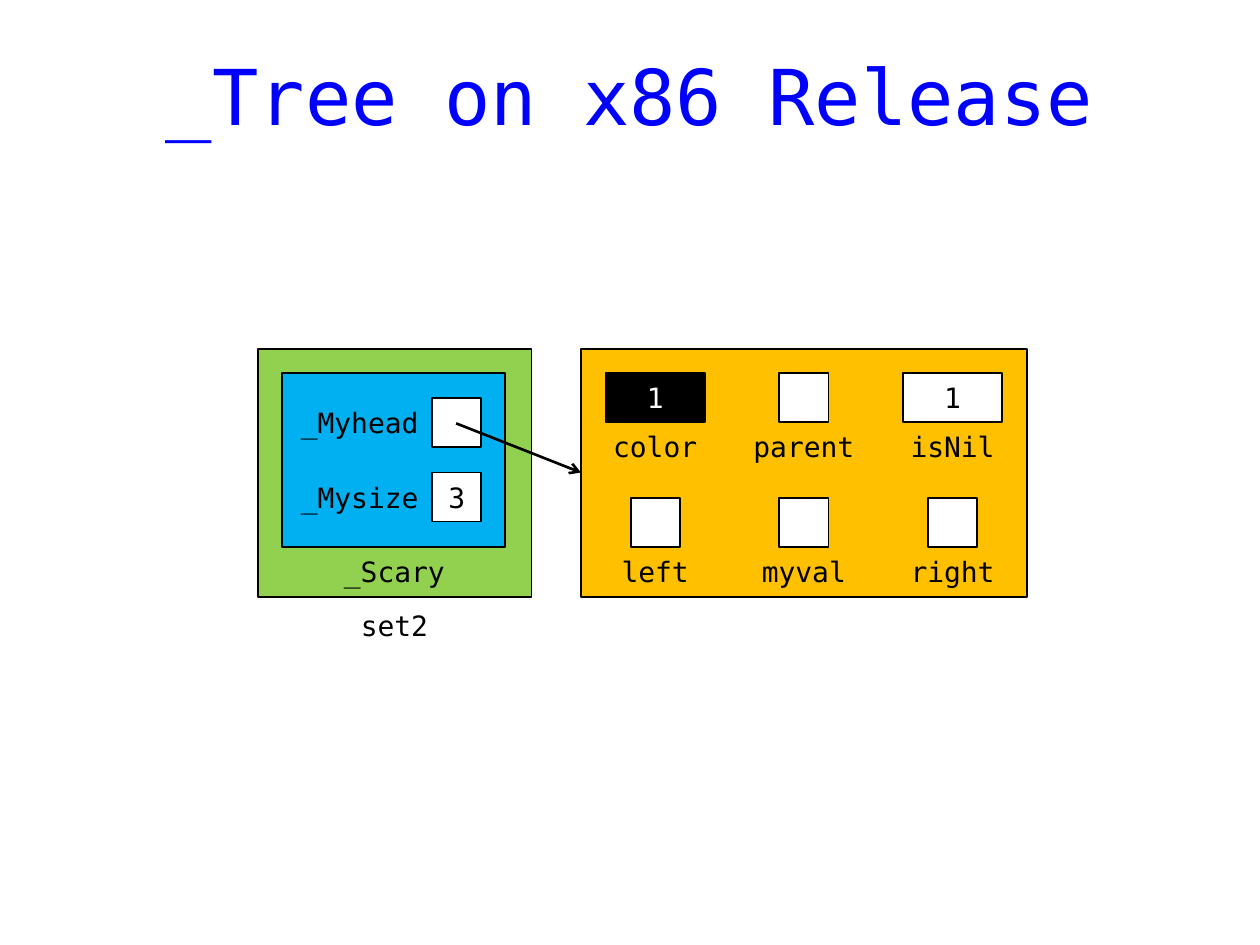
from dataclasses import dataclass

from lxml import etree
from pptx import Presentation
from pptx.dml.color import RGBColor
from pptx.enum.shapes import MSO_CONNECTOR, MSO_SHAPE
from pptx.enum.text import MSO_ANCHOR, PP_ALIGN
from pptx.oxml.ns import qn
from pptx.util import Inches, Pt

RECT = MSO_SHAPE.RECTANGLE
LINE = MSO_CONNECTOR.STRAIGHT
MIDDLE = MSO_ANCHOR.MIDDLE
CENTER, RIGHT = PP_ALIGN.CENTER, PP_ALIGN.RIGHT
FONT = "DejaVu Sans Mono"
COLORS = {"black": "000000", "white": "FFFFFF", "blue": "0000FF",
          "green": "92D050", "sky": "00B0F0", "gold": "FFC000"}
CELL, WIDE, COL = 0.39, 0.79, 1.18
NODE_X, ROW_TOP, ROW_STEP = 4.61, 2.96, 0.99


@dataclass
class Area:
    x: float
    y: float
    w: float
    h: float = CELL


@dataclass
class Field:
    name: str
    col: int
    row: int
    width: float = CELL
    value: str = ""
    fill: str = "white"
    ink: str = "black"


FIELDS = [
    Field("color", 0, 0, WIDE, "1", "black", "white"),
    Field("parent", 1, 0),
    Field("isNil", 2, 0, WIDE, "1"),
    Field("left", 0, 1),
    Field("myval", 1, 1),
    Field("right", 2, 1),
]
MEMBERS = [("_Myhead", 3.16, ""), ("_Mysize", 3.75, "3")]


def rgb(name: str) -> RGBColor:
    return RGBColor.from_string(COLORS[name])


def lengths(area: Area) -> list:
    return [Inches(n) for n in (area.x, area.y, area.w, area.h)]


def write(shape, text: str, ink: str = "black", size: int = 16,
          align=CENTER, insets: tuple = (0.1, 0, 0.1, 0)):
    """Fill a shape with one styled line; insets run left, top, right, bottom."""
    frame = shape.text_frame
    left, top, right, bottom = (Inches(n) for n in insets)
    style = {"word_wrap": True, "vertical_anchor": MIDDLE,
             "margin_left": left, "margin_top": top,
             "margin_right": right, "margin_bottom": bottom}
    for key, val in style.items():
        setattr(frame, key, val)
    para = frame.paragraphs[0]
    para.alignment = align
    run = para.add_run()
    run.text = text
    for key, val in {"name": FONT, "size": Pt(size)}.items():
        setattr(run.font, key, val)
    run.font.color.rgb = rgb(ink)
    return para


def label(slide, area: Area, text: str, **style):
    return write(slide.shapes.add_textbox(*lengths(area)), text, **style)


def box(slide, area: Area, fill: str = "white", text: str = "",
        ink: str = "black") -> None:
    shape = slide.shapes.add_shape(RECT, *lengths(area))
    shape.shadow.inherit = False
    shape.fill.solid()
    shape.fill.fore_color.rgb = rgb(fill)
    shape.line.color.rgb = rgb("black")
    shape.line.width = Pt(1)
    if text:
        write(shape, text, ink, insets=(0.04, 0.05, 0.04, 0.05))


def field(slide, item: Field) -> None:
    """Draw a node field: its value box with its name below."""
    x = NODE_X + item.col * COL
    y = ROW_TOP + item.row * ROW_STEP
    box(slide, Area(x + (COL - item.width) / 2, y, item.width),
        item.fill, item.value, item.ink)
    label(slide, Area(x, y + CELL, COL), item.name)


def arrow(slide, start: tuple, end: tuple) -> None:
    link = slide.shapes.add_connector(
        LINE, *(Inches(n) for n in start + end))
    link.line.color.rgb = rgb("black")
    link.line.width = Pt(1.5)
    etree.SubElement(link.line._get_or_add_ln(), qn("a:tailEnd"), type="arrow")
    etree.SubElement(link._element.spPr, qn("a:effectLst"))


def main() -> None:
    deck = Presentation()
    deck.slide_width, deck.slide_height = Inches(10), Inches(7.5)
    slide = deck.slides.add_slide(deck.slide_layouts[6])

    title = label(slide, Area(0.47, 0.21, 9.06, 1.18), "_Tree on x86 Release",
                  ink="blue", size=44, insets=(0.1, 0.05, 0.1, 0.05))
    title.line_spacing = 0.9

    box(slide, Area(2.05, 2.77, 2.17, 1.97), "green")
    box(slide, Area(2.24, 2.96, 1.77, 1.38), "sky")
    for name, y, value in MEMBERS:
        label(slide, Area(2.24, y, COL), name, align=RIGHT,
              insets=(0, 0, 0.1, 0))
        box(slide, Area(3.43, y, CELL), text=value)
    label(slide, Area(2.44, 4.34, 1.38), "_Scary")
    label(slide, Area(2.64, 4.73, 0.98, 0.59), "set2",
          insets=(0.1, 0, 0.1, 0.12))

    box(slide, Area(NODE_X, 2.77, 3 * COL, 1.97), "gold")
    for item in FIELDS:
        field(slide, item)
    arrow(slide, (3.62, 3.36), (NODE_X, 3.75))

    deck.save("out.pptx")


if __name__ == "__main__":
    main()
